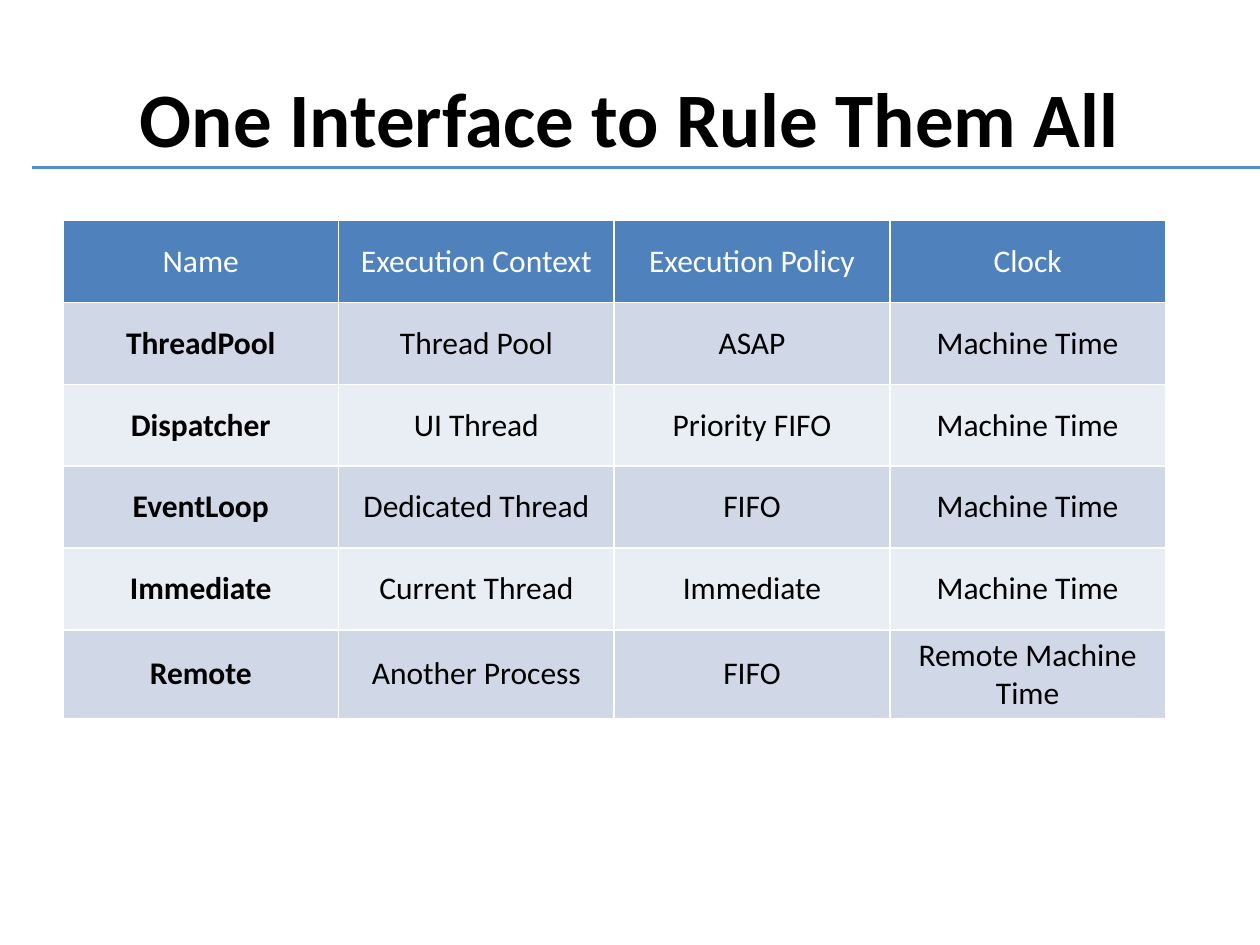
import pptx
import pptx.dml.color
import pptx.enum.shapes
import pptx.enum.text
import pptx.oxml.ns
import pptx.util
from lxml import etree
from pptx.dml.color import RGBColor
from pptx.util import Inches

BLACK = RGBColor(0x00, 0x00, 0x00)
WHITE = RGBColor(0xFF, 0xFF, 0xFF)
RULE_BLUE = RGBColor(0x55, 0x8E, 0xD5)
HEADER_BLUE = RGBColor(0x4F, 0x81, 0xBD)
BANDS = [RGBColor(0xE9, 0xED, 0xF4), RGBColor(0xD0, 0xD8, 0xE8)]

ROWS = [
    ["Name", "Execution Context", "Execution Policy", "Clock"],
    ["ThreadPool", "Thread Pool", "ASAP", "Machine Time"],
    ["Dispatcher", "UI Thread", "Priority FIFO", "Machine Time"],
    ["EventLoop", "Dedicated Thread", "FIFO", "Machine Time"],
    ["Immediate", "Current Thread", "Immediate", "Machine Time"],
    ["Remote", "Another Process", "FIFO", "Remote Machine Time"],
]


def format_text(tf, size, color, bold):
    p = tf.paragraphs[0]
    p.alignment = pptx.enum.text.PP_ALIGN.CENTER
    font = p.runs[0].font
    font.name = "Calibri"
    font.size = pptx.util.Pt(size)
    font.bold = bold
    font.color.rgb = color


def add_borders(cell, color, width):
    qn = pptx.oxml.ns.qn
    tc_pr = cell._tc.get_or_add_tcPr()
    for tag in ("a:lnL", "a:lnR", "a:lnT", "a:lnB"):
        ln = etree.SubElement(tc_pr, qn(tag), w=str(pptx.util.Pt(width)))
        fill = etree.SubElement(ln, qn("a:solidFill"))
        etree.SubElement(fill, qn("a:srgbClr"), val=str(color))


prs = pptx.Presentation()
prs.slide_width = Inches(10)
prs.slide_height = Inches(7.5)
s = prs.slides.add_slide(prs.slide_layouts[6])

# Title
sp = s.shapes.add_textbox(Inches(0.5), Inches(0.3), Inches(9), Inches(1.25))
tf = sp.text_frame
tf.word_wrap = True
tf.vertical_anchor = pptx.enum.text.MSO_ANCHOR.MIDDLE
tf.text = "One Interface to Rule Them All"
format_text(tf, 44, BLACK, True)

# Rule under the title
rule = s.shapes.add_connector(
    pptx.enum.shapes.MSO_CONNECTOR.STRAIGHT,
    Inches(0.25), Inches(1.33), Inches(10), Inches(1.33))
rule.line.color.rgb = RULE_BLUE
rule.line.width = pptx.util.Pt(2)
etree.SubElement(rule._element.spPr, pptx.oxml.ns.qn("a:effectLst"))

# Scheduler table
table = s.shapes.add_table(
    len(ROWS), len(ROWS[0]),
    Inches(0.5), Inches(1.75), Inches(8.75), Inches(0.65 * len(ROWS))).table
for i, row in enumerate(ROWS):
    for j, text in enumerate(row):
        cell = table.cell(i, j)
        add_borders(cell, WHITE, 1)
        cell.fill.solid()
        cell.fill.fore_color.rgb = BANDS[i % 2] if i else HEADER_BLUE
        cell.vertical_anchor = pptx.enum.text.MSO_ANCHOR.MIDDLE
        cell.text_frame.text = text
        format_text(cell.text_frame, 18, BLACK if i else WHITE, i > 0 and j == 0)

prs.save("out.pptx")
